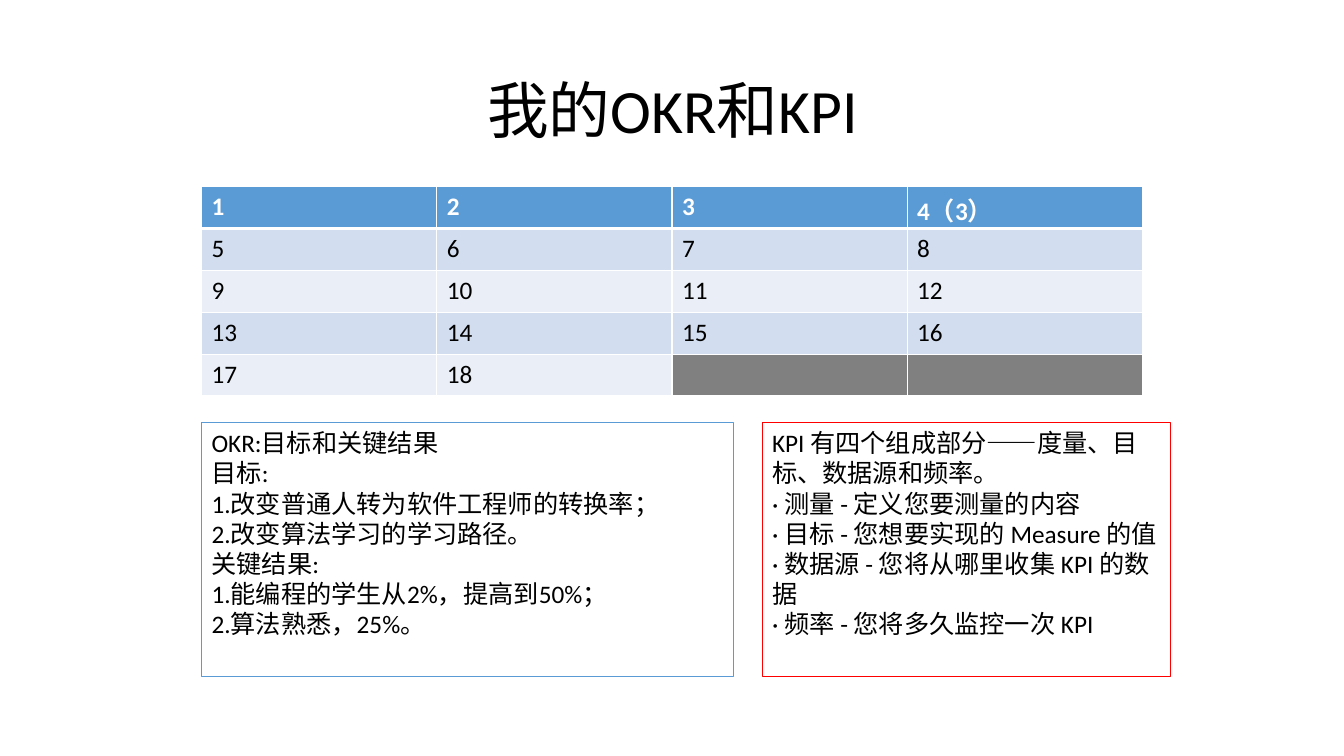
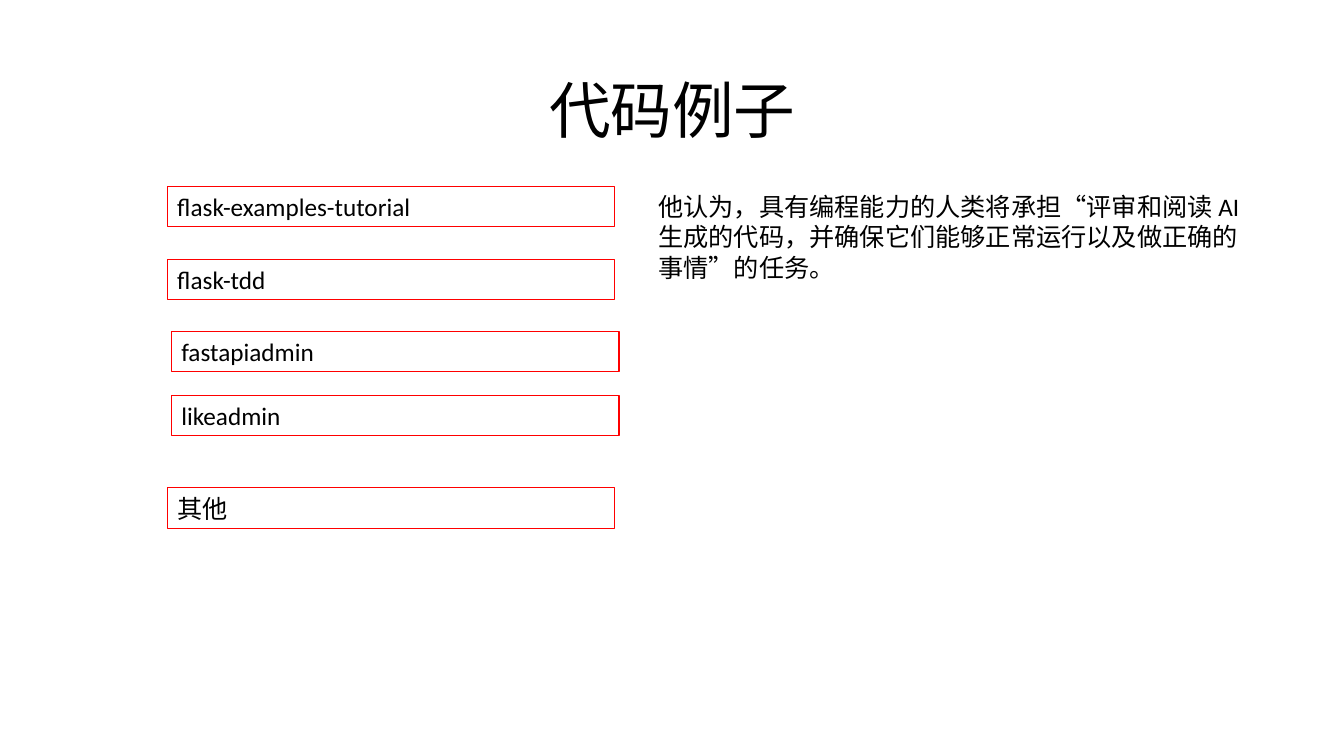
from dataclasses import dataclass

from lxml.etree import SubElement
from pptx import Presentation
from pptx.dml.color import RGBColor as Color
from pptx.enum.text import MSO_ANCHOR as Anchor, PP_ALIGN as Align
from pptx.oxml.ns import qn
from pptx.util import Inches, Pt


@dataclass(frozen=True)
class Theme:
    font: str = "Calibri"
    title_size: int = 44
    body_size: int = 18
    frame_width: float = 0.75
    border_width: int = 1
    header_rule_width: int = 3
    text: str = "000000"
    white: str = "FFFFFF"
    blue: str = "5B9BD5"
    red: str = "FF0000"
    band_dark: str = "D2DEEF"
    band_light: str = "EAEFF7"
    unused: str = "808080"


THEME = Theme()
CONTENT_TOP = 1.85

TABLE_ROWS = [
    ["1", "2", "3", "4（3）"],
    ["5", "6", "7", "8"],
    ["9", "10", "11", "12"],
    ["13", "14", "15", "16"],
    ["17", "18", "", ""],
]

OKR_LINES = [
    "OKR:目标和关键结果",
    "目标:",
    "1.改变普通人转为软件工程师的转换率；",
    "2.改变算法学习的学习路径。",
    "关键结果:",
    "1.能编程的学生从2%，提高到50%；",
    "2.算法熟悉，25%。",
]

KPI_LINES = [
    "KPI 有四个组成部分——度量、目标、数据源和频率。",
    "· 测量 - 定义您要测量的内容",
    "· 目标 - 您想要实现的 Measure 的值",
    "· 数据源 - 您将从哪里收集 KPI 的数据",
    "· 频率 - 您将多久监控一次 KPI",
]

# Name, left and top of each code example
CODE_EXAMPLES = [
    ("flask-examples-tutorial", 1.66, CONTENT_TOP),
    ("flask-tdd", 1.66, 2.57),
    ("fastapiadmin", 1.7, 3.29),
    ("likeadmin", 1.7, 3.92),
    ("其他", 1.66, 4.84),
]

REVIEW_TEXT = (
    "他认为，具有编程能力的人类将承担“评审和阅读 AI 生成的代码，"
    "并确保它们能够正常运行以及做正确的事情”的任务。"
)


def style_font(paragraph, size=THEME.body_size, color=THEME.text, bold=False):
    font = paragraph.font
    font.name = THEME.font
    font.size = Pt(size)
    font.bold = bold
    font.color.rgb = Color.from_string(color)


def add_text(slide, lines, left, top, width, height, size=THEME.body_size, frame_color=None):
    """Add one paragraph per line, with an outline if frame_color is given."""
    box = slide.shapes.add_textbox(Inches(left), Inches(top), Inches(width), Inches(height))
    if frame_color:
        box.line.color.rgb = Color.from_string(frame_color)
        box.line.width = Pt(THEME.frame_width)
    frame = box.text_frame
    frame.word_wrap = True
    frame.text = "\n".join(lines)
    for paragraph in frame.paragraphs:
        style_font(paragraph, size)
    return frame


def add_titled_slide(presentation, title):
    slide = presentation.slides.add_slide(presentation.slide_layouts[6])
    frame = add_text(slide, [title], 0.92, 0.4, 11.5, 1.45, THEME.title_size)
    frame.vertical_anchor = Anchor.MIDDLE
    paragraph = frame.paragraphs[0]
    paragraph.alignment = Align.CENTER
    paragraph.line_spacing = 0.9
    return slide


def set_cell_borders(cell, top, bottom):
    """Draw white borders; top and bottom are widths in points."""
    properties = cell._tc.get_or_add_tcPr()
    side = THEME.border_width
    for tag, width in (("lnL", side), ("lnR", side), ("lnT", top), ("lnB", bottom)):
        line = SubElement(properties, qn(f"a:{tag}"), w=str(Pt(width)))
        fill = SubElement(line, qn("a:solidFill"))
        SubElement(fill, qn("a:srgbClr"), val=THEME.white)


def cell_fill(row_index, text):
    if not text:
        return THEME.unused
    if row_index == 0:
        return THEME.blue
    return THEME.band_dark if row_index % 2 else THEME.band_light


def add_number_table(slide, rows, left, top, width, row_height):
    table = slide.shapes.add_table(
        len(rows), len(rows[0]), Inches(left), Inches(top),
        Inches(width), Inches(row_height * len(rows)),
    ).table
    for row_index, row in enumerate(rows):
        is_header = row_index == 0
        for column_index, text in enumerate(row):
            cell = table.cell(row_index, column_index)
            set_cell_borders(
                cell,
                top=THEME.header_rule_width if row_index == 1 else THEME.border_width,
                bottom=THEME.header_rule_width if is_header else THEME.border_width,
            )
            cell.fill.solid()
            cell.fill.fore_color.rgb = Color.from_string(cell_fill(row_index, text))
            cell.text = text
            style_font(
                cell.text_frame.paragraphs[0],
                color=THEME.white if is_header else THEME.text,
                bold=is_header,
            )


def build_goals_slide(presentation):
    slide = add_titled_slide(presentation, "我的OKR和KPI")
    add_number_table(slide, TABLE_ROWS, 2, CONTENT_TOP, 9.33, 0.416)
    add_text(slide, OKR_LINES, 2, 4.19, 5.28, 2.52, frame_color=THEME.blue)
    add_text(slide, KPI_LINES, 7.56, 4.19, 4.05, 2.52, frame_color=THEME.red)


def build_code_slide(presentation):
    slide = add_titled_slide(presentation, "代码例子")
    for name, left, top in CODE_EXAMPLES:
        add_text(slide, [name], left, top, 4.44, 0.4, frame_color=THEME.red)
    add_text(slide, [REVIEW_TEXT], 6.43, CONTENT_TOP, 6.11, 1.05)


def main():
    presentation = Presentation()
    presentation.slide_width = Inches(13.33)
    presentation.slide_height = Inches(7.5)
    build_goals_slide(presentation)
    build_code_slide(presentation)
    presentation.save("out.pptx")


if __name__ == "__main__":
    main()
